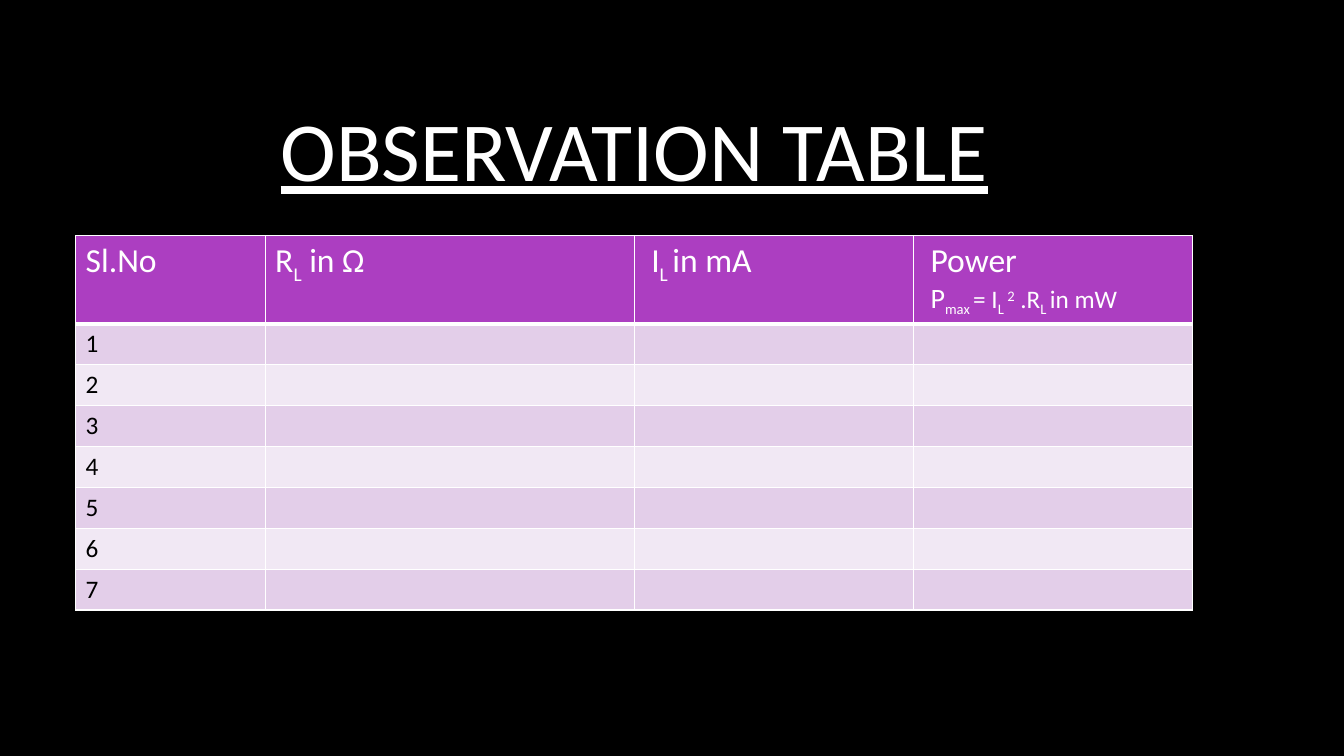
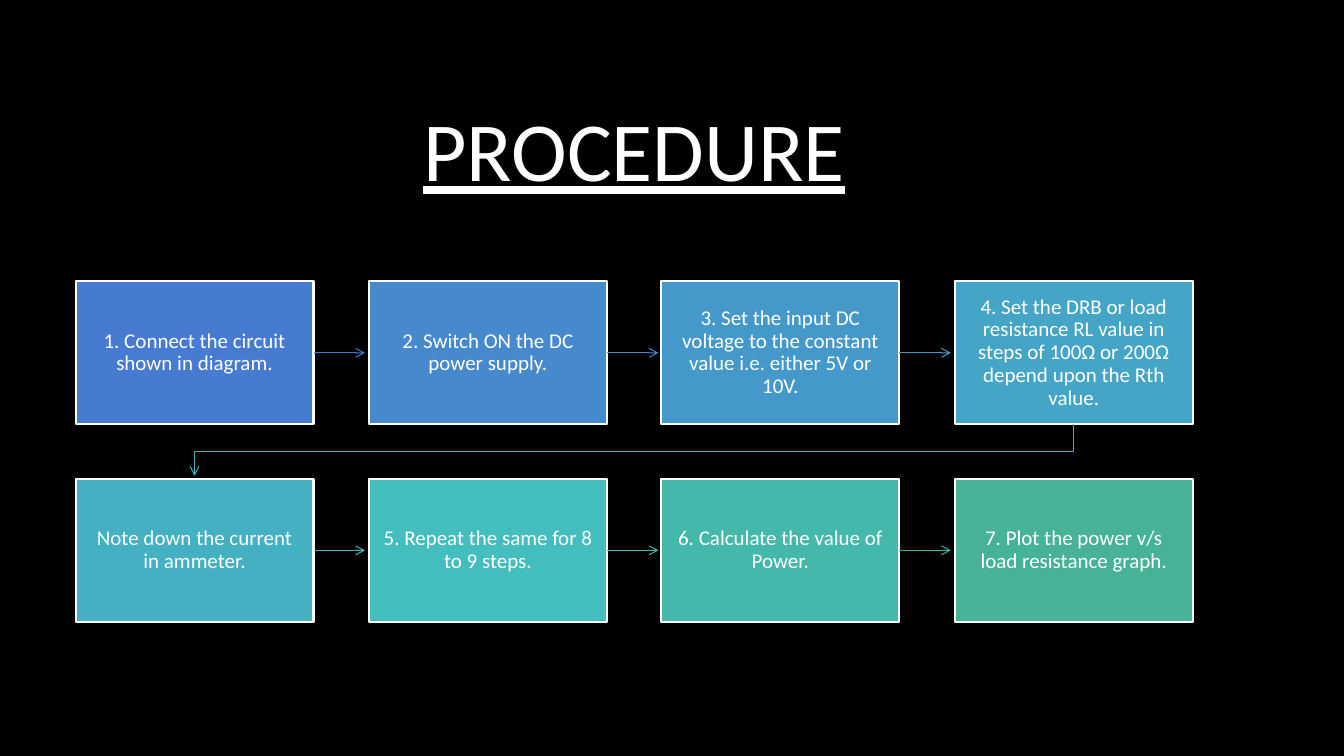
from pptx import Presentation
from pptx import util as u
from pptx.dml.color import RGBColor
from pptx.enum import shapes, text
from pptx.oxml import parse_xml
from pptx.oxml.ns import nsdecls, qn

BLACK = RGBColor(0x00, 0x00, 0x00)
WHITE = RGBColor(0xFF, 0xFF, 0xFF)
PURPLE = RGBColor(0xAC, 0x3E, 0xC1)
LILAC = RGBColor(0xE3, 0xCE, 0xE9)
PALE_LILAC = RGBColor(0xF1, 0xE8, 0xF4)

FONT = "Calibri"
LEFT, WIDTH = 75, 1108
SUB, SUP = -25000, 30000

# Each header cell: left margin, then paragraphs of (text, size, baseline)
HEADERS = [
    (10, [[("Sl.No", 24, 0)]]),
    (10, [[("R", 24, 0), ("L", 24, SUB), (" in Ω", 24, 0)]]),
    (17, [[("I", 24, 0), ("L ", 24, SUB), ("in mA", 24, 0)]]),
    (17, [[("Power", 24, 0)],
          [("P", 20, 0), ("max ", 18, SUB), ("= I", 18, 0), ("L ", 18, SUB),
           ("2", 18, SUP), (" .R", 18, 0), ("L ", 18, SUB), ("in mW", 18, 0)]]),
]
COLUMN_WIDTHS = [188, 366, 277, 277]
READINGS = 7

# Each step: wording, box colour, colour of the arrow that leaves it
STEPS = [
    ("1. Connect the circuit shown in diagram.", "477BD1", "477BD1"),
    ("2. Switch ON the DC power supply.", "468ACD", "468CCD"),
    ("3. Set the input DC voltage to the constant value i.e. either 5V or 10V.",
     "4598CA", "459CC8"),
    ("4. Set the DRB or load resistance RL value in steps of 100Ω or 200Ω "
     "depend upon the Rth value.", "45A5C6", "44ABC4"),
    ("Note down the current in ammeter.", "44B1C2", "44B9BF"),
    ("5. Repeat the same for 8 to 9 steps.", "44BDBE", "44B9AE"),
    ("6. Calculate the value of Power.", "44B8AB", "46B298"),
    ("7. Plot the power v/s load resistance graph.", "46B298", None),
]
PER_ROW = 4
BOX_W, BOX_H = 236, 142
STEPS_TOP, ROW_PITCH = 279, 196
ARROW = 51


def px(length):
    return u.Emu(length * 9144)


class Deck:
    def __init__(self):
        self.prs = Presentation()
        self.prs.slide_width, self.prs.slide_height = px(1333), px(750)
        background = self.prs.slide_master.background.fill
        background.solid()
        background.fore_color.rgb = BLACK
        self.slide = None

    def add_slide(self, heading):
        self.slide = self.prs.slides.add_slide(self.prs.slide_layouts[5])
        title = self.slide.shapes.title
        title.left, title.top = px(LEFT), px(67)
        title.width, title.height = px(WIDTH), px(159)
        frame = title.text_frame
        frame.vertical_anchor = text.MSO_ANCHOR.MIDDLE
        paragraph = frame.paragraphs[0]
        paragraph.alignment = text.PP_ALIGN.CENTER
        self.run(paragraph, heading, 60).font.underline = True

    def run(self, paragraph, words, size, color=WHITE, baseline=0):
        run = paragraph.add_run()
        run.text = words
        font = run.font
        font.name, font.size, font.bold = FONT, u.Pt(size), False
        font.color.rgb = color
        if baseline:
            font._element.set("baseline", str(baseline))
        return run

    def table(self, top, widths, header_height, row_height, row_count):
        table = self.slide.shapes.add_table(
            row_count, len(widths), px(LEFT), px(top), px(WIDTH),
            px(header_height + row_height * (row_count - 1))).table
        for column, width in zip(table.columns, widths):
            column.width = px(width)
        for index, row in enumerate(table.rows):
            row.height = px(row_height if index else header_height)
            for cell in row.cells:
                self.borders(cell, top=3 if index == 1 else 1,
                             bottom=1 if index else 3)
                cell.fill.solid()
                band = LILAC if index % 2 else PALE_LILAC
                cell.fill.fore_color.rgb = band if index else PURPLE
        return table

    def borders(self, cell, top, bottom):
        properties = cell._tc.get_or_add_tcPr()
        for side, points in (("L", 1), ("R", 1), ("T", top), ("B", bottom)):
            properties.append(parse_xml(
                f'<a:ln{side} {nsdecls("a")} w="{u.Pt(points)}"><a:solidFill>'
                f'<a:srgbClr val="{WHITE}"/></a:solidFill></a:ln{side}>'))

    def box(self, left, top, words, color):
        box = self.slide.shapes.add_shape(
            shapes.MSO_SHAPE.RECTANGLE, px(left), px(top), px(BOX_W), px(BOX_H))
        box.shadow.inherit = False
        box.fill.solid()
        box.fill.fore_color.rgb = color
        box.line.color.rgb, box.line.width = WHITE, u.Pt(1.5)
        frame = box.text_frame
        frame.word_wrap = True
        frame.vertical_anchor = text.MSO_ANCHOR.MIDDLE
        frame.margin_left = frame.margin_right = px(12)
        frame.margin_top = frame.margin_bottom = px(12)
        paragraph = frame.paragraphs[0]
        paragraph.alignment = text.PP_ALIGN.CENTER
        paragraph.line_spacing = 0.9
        self.run(paragraph, words, 15)
        return box

    def arrow_style(self, arrow, color):
        arrow.line.color.rgb, arrow.line.width = color, u.Pt(0.75)
        properties = arrow._element.spPr
        properties.find(qn("a:ln")).append(
            parse_xml(f'<a:tailEnd {nsdecls("a")} type="arrow"/>'))
        if properties.find(qn("a:effectLst")) is None:
            properties.append(parse_xml(f'<a:effectLst {nsdecls("a")}/>'))

    def arrow_from(self, box, left, top, color):
        """Draw a short arrow to the right from the middle of a box's side."""
        x, y = left + BOX_W, top + BOX_H // 2
        arrow = self.slide.shapes.add_connector(
            shapes.MSO_CONNECTOR.STRAIGHT, px(x), px(y), px(x + ARROW), px(y))
        arrow.begin_connect(box, 3)
        self.arrow_style(arrow, color)

    def bent_arrow(self, points, color):
        start, *rest = [(px(x), px(y)) for x, y in points]
        builder = self.slide.shapes.build_freeform(*start)
        builder.add_line_segments(rest, close=False)
        arrow = builder.convert_to_shape()
        arrow.shadow.inherit = False
        arrow.fill.background()
        self.arrow_style(arrow, color)


def observation_slide(deck):
    deck.add_slide("OBSERVATION TABLE")
    table = deck.table(234, COLUMN_WIDTHS, 87, 40, READINGS + 1)
    for column, (margin, paragraphs) in enumerate(HEADERS):
        cell = table.cell(0, column)
        cell.margin_left = px(margin)
        frame = cell.text_frame
        for index, runs in enumerate(paragraphs):
            paragraph = frame.add_paragraph() if index else frame.paragraphs[0]
            for words, size, baseline in runs:
                deck.run(paragraph, words, size, baseline=baseline)
    for number in range(1, READINGS + 1):
        paragraph = table.cell(number, 0).text_frame.paragraphs[0]
        deck.run(paragraph, str(number), 18, BLACK)


def procedure_slide(deck):
    deck.add_slide("PROCEDURE")
    for index, (words, fill, arrow_color) in enumerate(STEPS):
        row, column = divmod(index, PER_ROW)
        left = LEFT + round(column * (WIDTH - BOX_W) / (PER_ROW - 1))
        top = STEPS_TOP + row * ROW_PITCH
        box = deck.box(left, top, words, RGBColor.from_string(fill))
        if arrow_color is None:
            continue
        color = RGBColor.from_string(arrow_color)
        if column < PER_ROW - 1:
            deck.arrow_from(box, left, top, color)
        else:
            start, end = left + BOX_W // 2, LEFT + BOX_W // 2
            bottom = top + BOX_H
            bend = bottom + (ROW_PITCH - BOX_H) // 2
            deck.bent_arrow([(start, bottom), (start, bend),
                             (end, bend), (end, bottom + ARROW)], color)


def main():
    deck = Deck()
    observation_slide(deck)
    procedure_slide(deck)
    deck.prs.save("out.pptx")


if __name__ == "__main__":
    main()
